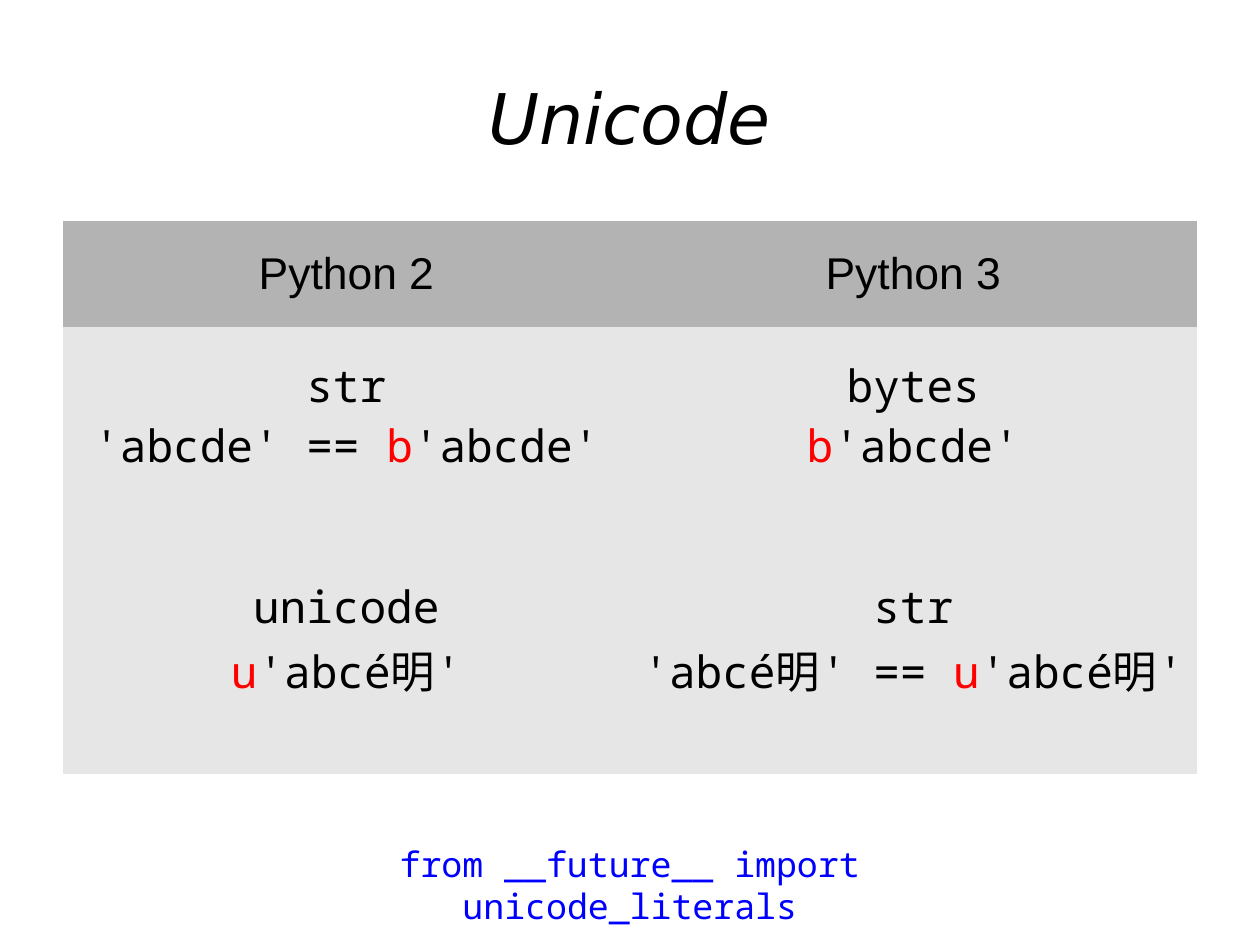
from lxml import etree
from pptx import Presentation
from pptx.dml.color import RGBColor
from pptx.enum import text
from pptx.oxml.ns import qn
from pptx.util import Cm, Inches, Pt

# Content: a cell is a list of lines, a line is a list of (text, style) runs
TITLE = "Unicode"
HEADER = ["Python 2", "Python 3"]
BODY = [
    [
        [[("str", "")], [("'abcde' == ", ""), ("b", "prefix"), ("'abcde'", "")]],
        [[("bytes", "")], [("b", "prefix"), ("'abcde'", "")]],
    ],
    [
        [[("unicode", "")],
         [("u", "prefix"), ("'abcé", ""), ("明", "cjk"), ("'", "")]],
        [[("str", "")],
         [("'abcé", ""), ("明", "cjk"), ("' == ", ""),
          ("u", "prefix"), ("'abcé", ""), ("明", "cjk"), ("'", "")]],
    ],
]
FOOTER = "from __future__ import unicode_literals"

THEME = {
    "title": "DejaVu Sans", "head": "Arial",
    "code": "Noto Sans Mono", "cjk": "Noto Sans CJK SC",
    "title_size": 44, "table_size": 28, "footer_size": 22,
    "ink": "000000", "prefix": "FF0000", "import": "0000FF",
    "head_fill": "B3B3B3", "body_fill": "E6E6E6",
}
LEFT, WIDTH = 0.55, 9.92
ROW_HEIGHTS = [0.93, 1.55, 2.36]
NO_STYLE_NO_GRID = "{2D5ABB26-0587-4C30-8999-92F81FD0307C}"


def add_line(p, runs, face, size, color="ink"):
    p.alignment = text.PP_ALIGN.CENTER
    p.font.name = THEME[face]
    p.font.size = Pt(THEME[size])
    p.font.color.rgb = RGBColor.from_string(THEME[color])
    for words, style in runs:
        r = p.add_run()
        r.text = words
        if style == "prefix":
            r.font.color.rgb = RGBColor.from_string(THEME["prefix"])
        elif style == "cjk":
            r.font.name = THEME["cjk"]
            ea = etree.SubElement(r.font._element, qn("a:ea"))
            ea.set("typeface", THEME["cjk"])


def fill_cell(cell, lines, face, fill):
    cell.fill.solid()
    cell.fill.fore_color.rgb = RGBColor.from_string(THEME[fill])
    cell.vertical_anchor = text.MSO_ANCHOR.MIDDLE
    tf = cell.text_frame
    for i, runs in enumerate(lines):
        p = tf.add_paragraph() if i else tf.paragraphs[0]
        add_line(p, runs, face, "table_size")


# A 28 by 21 cm page
prs = Presentation()
prs.slide_width, prs.slide_height = Cm(28), Cm(21)
s = prs.slides.add_slide(prs.slide_layouts[5])

# Title
sp = s.shapes.title
sp.left, sp.top = Inches(LEFT), Inches(0.33)
sp.width, sp.height = Inches(WIDTH), Inches(1.38)
tf = sp.text_frame
tf.margin_left = tf.margin_right = tf.margin_top = tf.margin_bottom = 0
tf.vertical_anchor = text.MSO_ANCHOR.MIDDLE
add_line(tf.paragraphs[0], [(TITLE, "")], "title", "title_size")
tf.paragraphs[0].font.italic = True

# Comparison table
frame = s.shapes.add_table(len(ROW_HEIGHTS), len(HEADER), Inches(LEFT), Inches(1.93),
                           Inches(WIDTH), Inches(sum(ROW_HEIGHTS)))
table = frame.table
table.horz_banding = False
table._tbl.tblPr.find(qn("a:tableStyleId")).text = NO_STYLE_NO_GRID
for row, height in zip(table.rows, ROW_HEIGHTS):
    row.height = Inches(height)
for c, label in enumerate(HEADER):
    fill_cell(table.cell(0, c), [[(label, "")]], "head", "head_fill")
for r, cells in enumerate(BODY, start=1):
    for c, lines in enumerate(cells):
        fill_cell(table.cell(r, c), lines, "code", "body_fill")

# Import line below the table
tf = s.shapes.add_textbox(Inches(2.24), Inches(7.32), Inches(6.54), Inches(0.81)).text_frame
tf.word_wrap = True
add_line(tf.paragraphs[0], [(FOOTER, "")], "code", "footer_size", "import")

prs.save("out.pptx")
